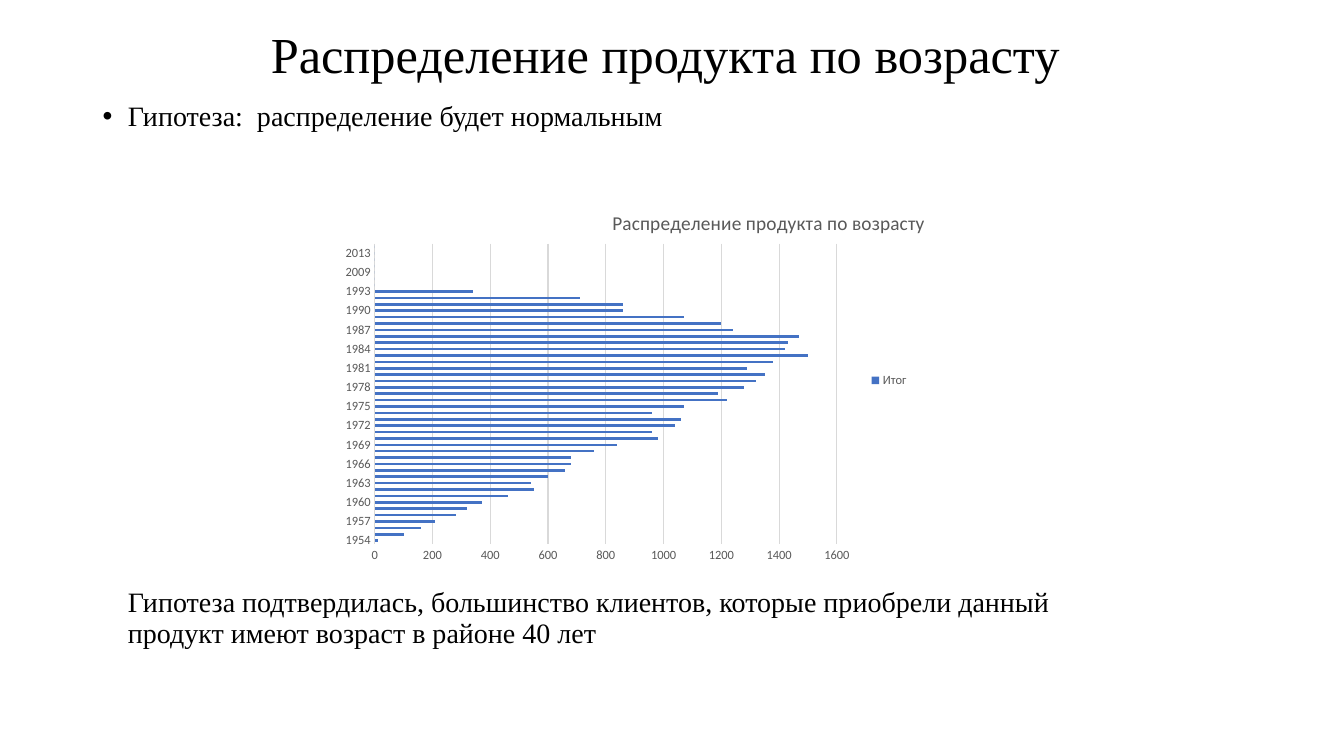
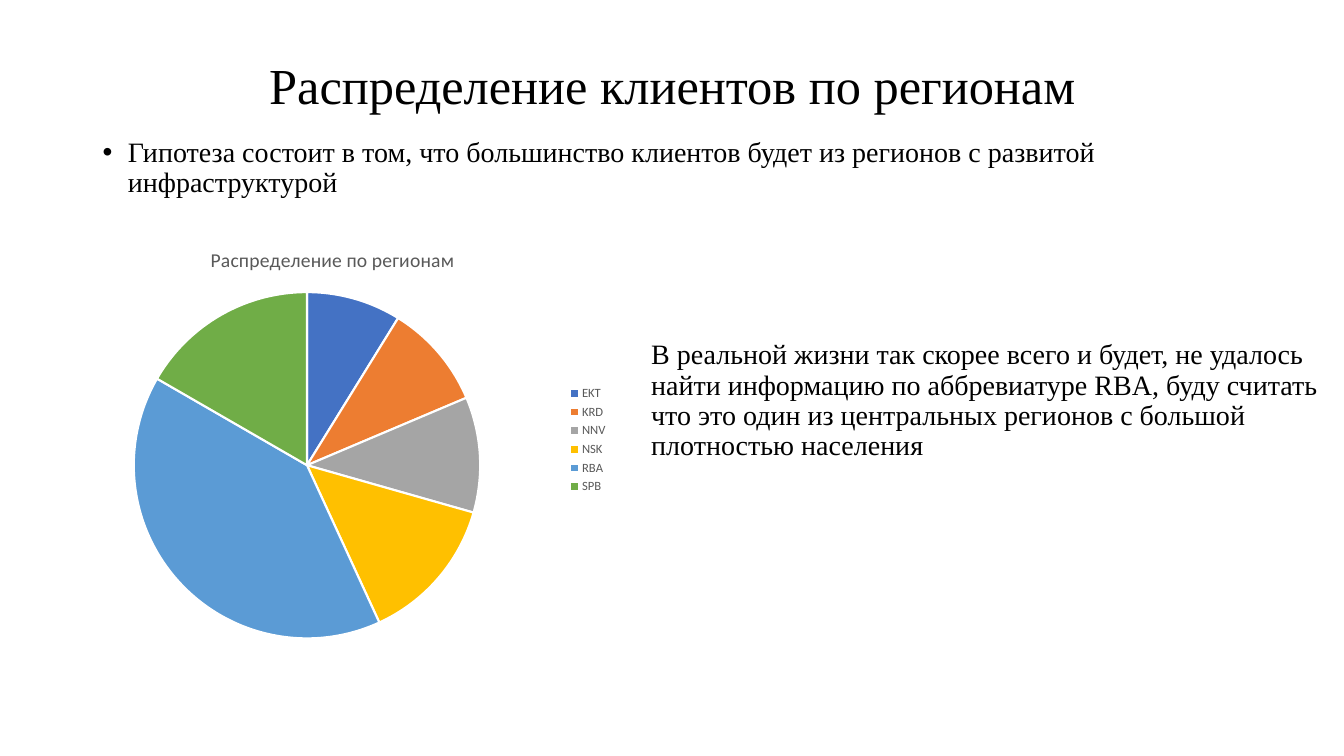
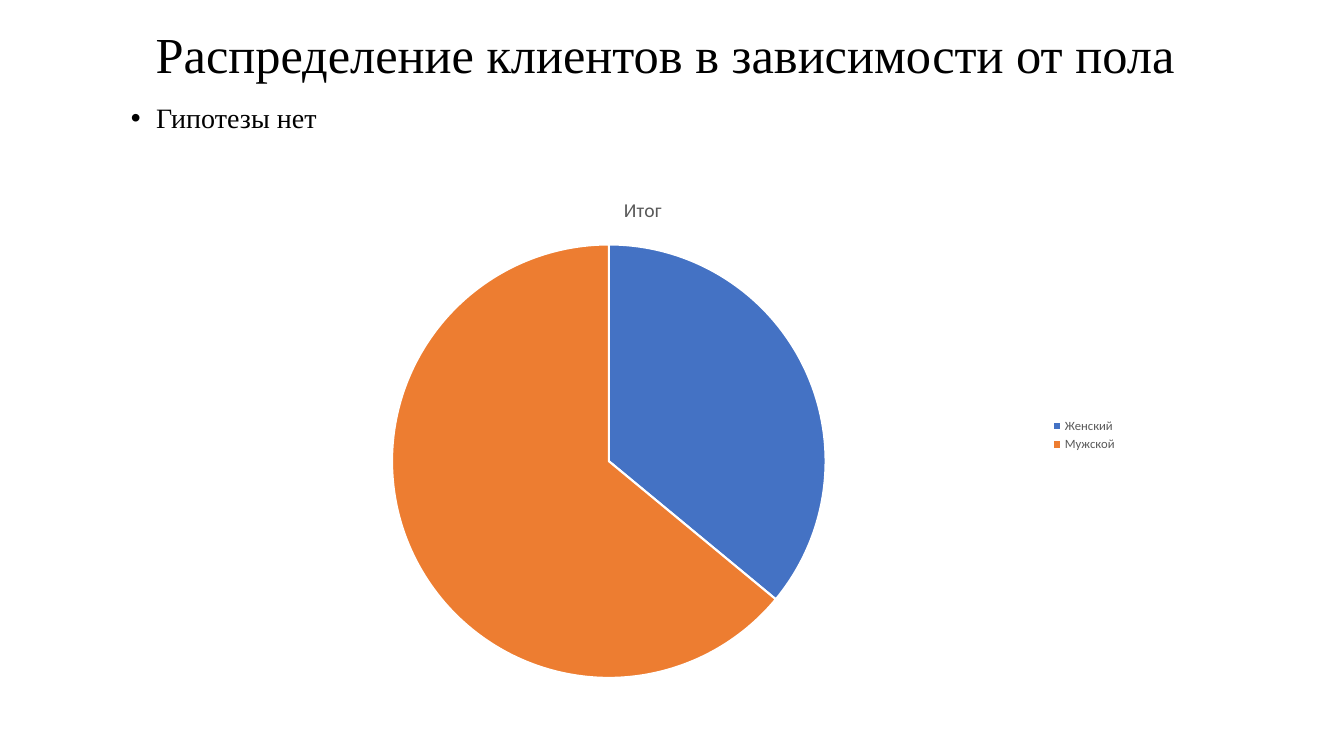
from pptx import Presentation
from pptx.chart.data import CategoryChartData
from pptx.dml.color import RGBColor
from pptx.enum.chart import XL_CHART_TYPE as ChartType, XL_LEGEND_POSITION as LegendPosition
from pptx.enum.chart import XL_TICK_MARK as TickMark
from pptx.enum.text import MSO_ANCHOR as Anchor, PP_ALIGN as Align
from pptx.oxml import parse_xml
from pptx.oxml.ns import nsdecls, qn
from pptx.util import Inches, Pt

BLACK = RGBColor(0x00, 0x00, 0x00)
WHITE = RGBColor(0xFF, 0xFF, 0xFF)
GREY = RGBColor(0x59, 0x59, 0x59)
RULE = RGBColor(0xD9, 0xD9, 0xD9)
ACCENTS = [RGBColor.from_string(code) for code in
           ("4472C4", "ED7D31", "A5A5A5", "FFC000", "5B9BD5", "70AD47")]
TEXT_FONT = "Times New Roman"
CHART_FONT = "Calibri"

BIRTH_YEARS = [str(year) for year in range(1954, 1995)]
BIRTH_YEARS += ["2002", "2009", "2010", "2012", "2013", "#ЗНАЧ!"]
CLIENTS_BY_YEAR = [
    10, 100, 160, 210, 280, 320, 370, 460, 550, 540, 600, 660,
    680, 680, 760, 840, 980, 960, 1040, 1060, 960, 1070, 1220, 1190,
    1280, 1320, 1350, 1290, 1380, 1500, 1420, 1430, 1470, 1240, 1200, 1070,
    860, 860, 710, 340, 0, 0, 0, 0, 0, 0, 0,
]

SLIDES = [
    {
        "title": ("Распределение продукта по возрасту", (0.85, 0.17, 11.5, 0.8)),
        "hypothesis": ("Гипотеза:  распределение будет нормальным",
                       (0.92, 0.97, 10.17, 0.8)),
        "conclusion": ("Гипотеза подтвердилась, большинство клиентов, которые "
                       "приобрели данный продукт имеют возраст в районе 40 лет",
                       (1.17, 5.79, 10.17, 0.8)),
        "chart": {
            "kind": ChartType.BAR_STACKED, "box": (3.31, 1.89, 5.9, 3.77),
            "heading": "Распределение продукта по возрасту",
            "heading_spot": (0.47, 0.04), "plot": (0.07, 0.14, 0.79, 0.79),
            "series": "Итог", "labels": BIRTH_YEARS, "values": CLIENTS_BY_YEAR,
        },
    },
    {
        "title": ("Распределение клиентов по регионам", (0.92, 0.15, 11.5, 1.45)),
        "hypothesis": ("Гипотеза состоит в том, что большинство клиентов будет "
                       "из регионов с развитой инфраструктурой",
                       (0.92, 1.32, 11.5, 0.91)),
        "conclusion": ("В реальной жизни так скорее всего и будет, не удалось "
                       "найти информацию по аббревиатуре RBA, буду считать что "
                       "это один из центральных регионов с большой плотностью "
                       "населения", (6.36, 3.33, 6.86, 1.45)),
        "chart": {
            "kind": ChartType.PIE, "box": (0.47, 2.27, 5.66, 4.19),
            "heading": "Распределение по регионам",
            "plot": (0.15, 0.15, 0.61, 0.82), "series": "Series 1",
            "labels": ["EKT", "KRD", "NNV", "NSK", "RBA", "SPB"],
            "values": [9, 10, 11, 14, 41, 17],
        },
    },
    {
        "title": ("Распределение клиентов в зависимости от пола",
                  (0.85, 0.17, 11.5, 0.8)),
        "hypothesis": ("Гипотезы нет", (1.2, 0.99, 11.5, 0.91)),
        "chart": {
            "kind": ChartType.PIE, "box": (1.57, 1.76, 9.61, 5.12),
            "heading": "Итог", "plot": (0.24, 0.13, 0.45, 0.84),
            "series": "Итог", "labels": ["Женский", "Мужской"],
            "values": [36, 64],
        },
    },
]


def style_font(font, name, size, color):
    font.name, font.size, font.bold = name, Pt(size), False
    font.color.rgb = color


def add_text(slide, text, box, size=20):
    frame = slide.shapes.add_textbox(*map(Inches, box)).text_frame
    frame.word_wrap = True
    paragraph = frame.paragraphs[0]
    paragraph.line_spacing = 0.9
    run = paragraph.add_run()
    run.text = text
    style_font(run.font, TEXT_FONT, size, BLACK)
    return frame, paragraph


def add_title(slide, text, box):
    frame, paragraph = add_text(slide, text, box, 36)
    frame.vertical_anchor = Anchor.MIDDLE
    paragraph.alignment = Align.CENTER


def add_body(slide, text, box, bullet=False):
    paragraph = add_text(slide, text, box)[1]
    paragraph.space_before = Pt(10)
    if bullet:
        properties = paragraph._p.get_or_add_pPr()
        properties.set("marL", str(Inches(0.25)))
        properties.set("indent", str(-Inches(0.25)))
        properties.append(parse_xml(f'<a:buFont {nsdecls("a")} typeface="Arial"/>'))
        properties.append(parse_xml(f'<a:buChar {nsdecls("a")} char="•"/>'))


def place(part, index, fractions, inner=False):
    for layout in part.findall(qn("c:layout")):
        part.remove(layout)
    target = '<c:layoutTarget val="inner"/>' if inner else ""
    modes = '<c:xMode val="edge"/><c:yMode val="edge"/>'
    sizes = "".join(f'<c:{key} val="{value}"/>' for key, value in zip("xywh", fractions))
    part.insert(index, parse_xml(
        f'<c:layout {nsdecls("c")}><c:manualLayout>{target}{modes}{sizes}'
        '</c:manualLayout></c:layout>'))


def style_bars(chart):
    plot = chart.plots[0]
    plot.gap_width, plot.overlap = 150, 100
    fill = plot.series[0].format.fill
    fill.solid()
    fill.fore_color.rgb = ACCENTS[0]
    years, counts = chart.category_axis, chart.value_axis
    for axis in (years, counts):
        axis.major_tick_mark = axis.minor_tick_mark = TickMark.NONE
        style_font(axis.tick_labels.font, CHART_FONT, 9, GREY)
    years.has_major_gridlines = False
    counts.has_major_gridlines = True
    for line in (years.format.line, counts.major_gridlines.format.line):
        line.color.rgb, line.width = RULE, Pt(0.75)
    counts.format.line.fill.background()
    counts.minimum_scale, counts.maximum_scale, counts.major_unit = 0, 1600, 200


def style_slices(chart, count):
    for index in range(count):
        look = chart.plots[0].series[0].points[index].format
        look.fill.solid()
        look.fill.fore_color.rgb = ACCENTS[index]
        look.line.color.rgb, look.line.width = WHITE, Pt(1.5)


def add_distribution(slide, content):
    data = CategoryChartData()
    data.categories = content["labels"]
    data.add_series(content["series"], content["values"])
    chart = slide.shapes.add_chart(
        content["kind"], *map(Inches, content["box"]), data).chart
    style_font(chart.font, CHART_FONT, 10, BLACK)
    is_pie = content["kind"] == ChartType.PIE
    chart.plots[0].vary_by_categories = is_pie
    if is_pie:
        style_slices(chart, len(content["labels"]))
    else:
        style_bars(chart)
    chart.has_title = True
    heading = chart.chart_title.text_frame.paragraphs[0].add_run()
    heading.text = content["heading"]
    style_font(heading.font, CHART_FONT, 14, GREY)
    if "heading_spot" in content:
        place(chart.chart_title.element, 1, content["heading_spot"])
    chart.has_legend = True
    chart.legend.position = LegendPosition.RIGHT
    chart.legend.include_in_layout = False
    style_font(chart.legend.font, CHART_FONT, 9, GREY)
    place(chart.element.chart.plotArea, 0, content["plot"], inner=True)


deck = Presentation()
deck.slide_width, deck.slide_height = Inches(13.33), Inches(7.5)
for content in SLIDES:
    slide = deck.slides.add_slide(deck.slide_layouts[6])
    add_distribution(slide, content["chart"])
    add_title(slide, *content["title"])
    add_body(slide, *content["hypothesis"], bullet=True)
    if "conclusion" in content:
        add_body(slide, *content["conclusion"])
deck.save("out.pptx")
